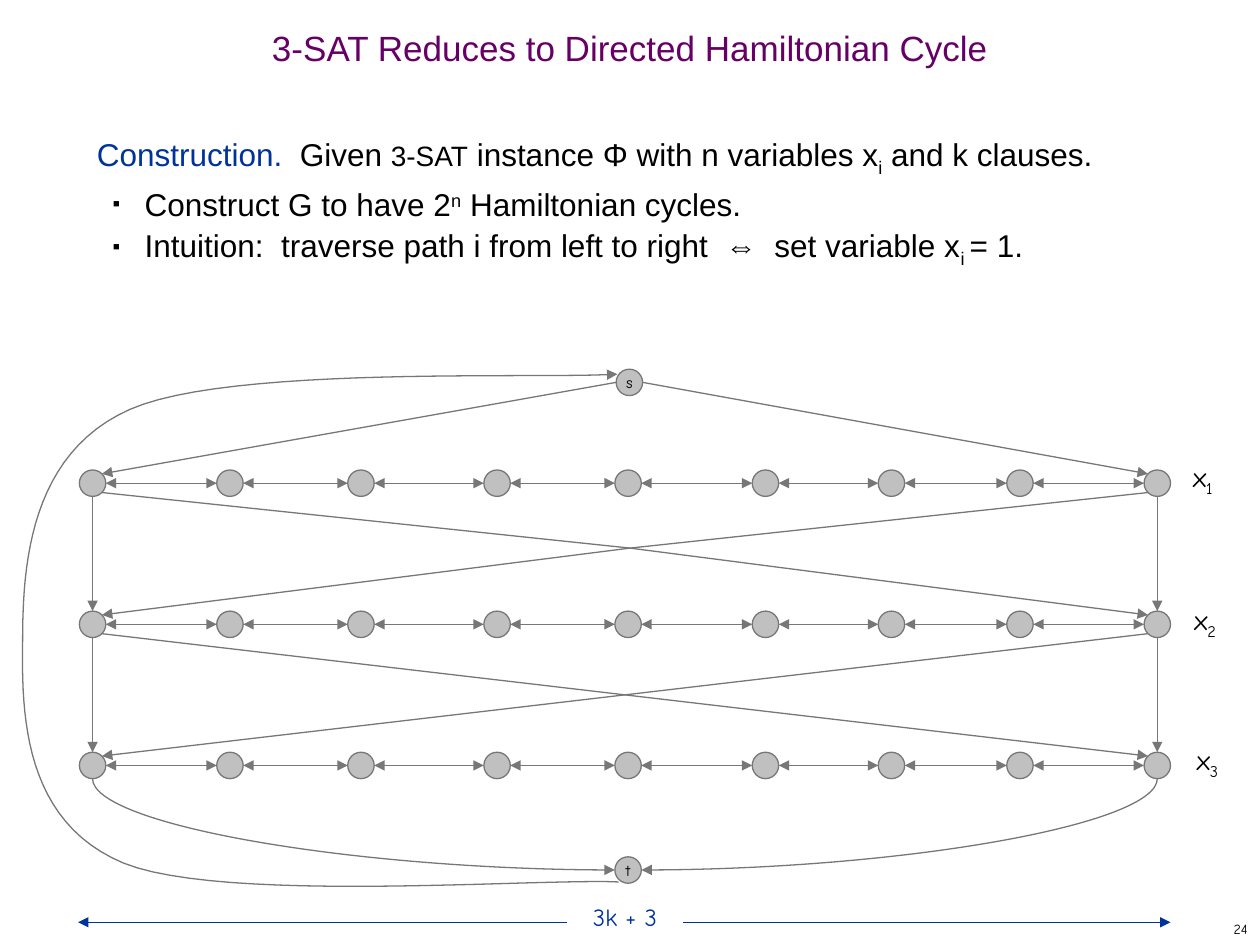
import math
from dataclasses import dataclass
from typing import Any, NamedTuple

import pptx
import pptx.dml.color
import pptx.enum.shapes
import pptx.enum.text
import pptx.oxml.ns
import pptx.util
from lxml import etree

CELL = 0.1
COLS, ROWS = 100, 75
SIZE = 2.1
GREY, EDGE, BLUE, BLACK = "C0C0C0", "777777", "003399", "000000"
HAND = "Comic Neue"
TOP, LEFT, BASE, RIGHT = 0, 2, 4, 6
TOP_L, BASE_L, BASE_R, TOP_R = 1, 3, 5, 7
LINE = pptx.enum.shapes.MSO_CONNECTOR.STRAIGHT
CURVE = pptx.enum.shapes.MSO_CONNECTOR.CURVE
ALIGN = pptx.enum.text.PP_ALIGN
MIDDLE = pptx.enum.text.MSO_ANCHOR.MIDDLE
FIT = pptx.enum.text.MSO_AUTO_SIZE.SHAPE_TO_FIT_TEXT
qn = pptx.oxml.ns.qn


class End(NamedTuple):
    x: float
    y: float
    shape: Any = None
    site: int = 0


@dataclass
class Node:
    x: float
    y: float
    shape: Any

    def end(self, site: int) -> End:
        turn, half = math.radians(45 * site), SIZE / 2
        return End(self.x + half - half * math.sin(turn),
                   self.y + half - half * math.cos(turn), self.shape, site)


@dataclass
class Run:
    text: str
    size: float = 18
    color: str = BLACK
    font: str = "Arial"
    shift: int = 0


def grid(cells: float) -> int:
    return pptx.util.Inches(cells * CELL)


def paint(form: Any, color: str) -> None:
    form.solid()
    form.fore_color.rgb = pptx.dml.color.RGBColor.from_string(color)


def fill_text(para: Any, runs: list[Run]) -> None:
    for item in runs:
        run = para.add_run()
        run.text = item.text
        run.font.size = pptx.util.Pt(item.size)
        run.font.name = item.font
        paint(run.font.fill, item.color)
        if item.shift:
            run._r.get_or_add_rPr().set("baseline", str(item.shift * 1000))


def add_text(slide: Any, box: tuple, runs: list[Run], align: Any = ALIGN.LEFT) -> Any:
    frame = slide.shapes.add_textbox(*map(grid, box)).text_frame
    frame.word_wrap = True
    frame.paragraphs[0].alignment = align
    fill_text(frame.paragraphs[0], runs)
    return frame


def add_node(slide: Any, x: float, y: float, name: str = "") -> Node:
    kind = pptx.enum.shapes.MSO_SHAPE.OVAL
    shape = slide.shapes.add_shape(kind, *map(grid, (x, y, SIZE, SIZE)))
    shape.shadow.inherit = False
    paint(shape.fill, GREY)
    paint(shape.line.fill, EDGE)
    shape.line.width = pptx.util.Pt(0.75)
    if name:
        frame = shape.text_frame
        frame.word_wrap = False
        frame.vertical_anchor = MIDDLE
        frame.paragraphs[0].alignment = ALIGN.CENTER
        fill_text(frame.paragraphs[0], [Run(name, 9, font=HAND)])
    return Node(x, y, shape)


def style(shape: Any, tips: str, color: str = EDGE) -> None:
    paint(shape.line.fill, color)
    shape.line.width = pptx.util.Pt(0.75)
    stroke = shape._element.spPr.find(qn("a:ln"))
    for tip in tips.split():
        etree.SubElement(stroke, qn(f"a:{tip}End"), type="triangle")


def link(slide: Any, start: End, stop: End, tips: str = "tail",
         color: str = EDGE, kind: Any = LINE) -> None:
    wire = slide.shapes.add_connector(
        kind, *map(grid, (start.x, start.y, stop.x, stop.y)))
    style(wire, tips, color)
    body = wire._element
    etree.SubElement(body.spPr, qn("a:effectLst"))
    if kind == CURVE:
        body.spPr.find(qn("a:prstGeom")).set("prst", "curvedConnector2")
    for tag, end in (("a:stCxn", start), ("a:endCxn", stop)):
        if end.shape is not None:
            etree.SubElement(body.nvCxnSpPr.cNvCxnSpPr, qn(tag),
                             id=str(end.shape.shape_id), idx=str(end.site))


def add_loop(slide: Any, start: tuple, bends: list[tuple], steps: int = 24) -> None:
    points, last = [], start
    for one, two, stop in bends:
        for step in range(1, steps + 1):
            t = step / steps
            parts = ((1 - t) ** 3, 3 * t * (1 - t) ** 2, 3 * t * t * (1 - t), t ** 3)
            points.append(tuple(
                grid(sum(p * q[axis] for p, q in zip(parts, (last, one, two, stop))))
                for axis in (0, 1)))
        last = stop
    pen = slide.shapes.build_freeform(*map(grid, start))
    pen.add_line_segments(points, close=False)
    shape = pen.convert_to_shape()
    shape.fill.background()
    style(shape, "tail")
    shape.shadow.inherit = False


def add_body(slide: Any) -> None:
    frame = add_text(slide, (6.7, 10, 85.8, 59.2), [
        Run("Construction.  ", color=BLUE), Run("Given "), Run("3-SAT", 16),
        Run(" instance Φ with n variables x"), Run("i", shift=-25),
        Run(" and k clauses.")])
    points = [
        [Run("Construct G to have 2"), Run("n", shift=30), Run(" Hamiltonian cycles.")],
        [Run("Intuition:  traverse path i from left to right  ⇔  set variable x"),
         Run("i ", shift=-25), Run("= 1.")]]
    for runs in points:
        para = frame.add_paragraph()
        fill_text(para, runs)
        props = para._p.get_or_add_pPr()
        props.set("marL", str(grid(3.8)))
        props.set("indent", str(grid(-2.5)))
        tint = etree.SubElement(props, qn("a:buClr"))
        etree.SubElement(tint, qn("a:srgbClr"), val=BLACK)
        etree.SubElement(props, qn("a:buSzPct"), val="35000")
        etree.SubElement(props, qn("a:buFont"), typeface="Arial")
        etree.SubElement(props, qn("a:buChar"), char="■")
    for para in frame.paragraphs:
        para.line_spacing = pptx.util.Pt(26)


def add_graph(slide: Any) -> None:
    lefts = (6.3, 17.2, 27.6, 38.4, 48.8, 59.7, 69.7, 79.9, 90.8)
    tops = [37.3 + 11.2 * row for row in range(3)]
    paths = [[add_node(slide, x, y) for x in lefts] for y in tops]
    first = add_node(slide, 48.9, 29.3, "s")
    last = add_node(slide, 48.8, 68, "t")

    for path in paths:
        for a, b in zip(path, path[1:]):
            link(slide, a.end(RIGHT), b.end(LEFT), "head tail")
    for above, below in zip(paths, paths[1:]):
        for side in (0, -1):
            link(slide, above[side].end(BASE), below[side].end(TOP))

    one, two, three = [(path[0], path[-1]) for path in paths]
    link(slide, first.end(LEFT), one[0].end(TOP_R))
    link(slide, first.end(RIGHT), one[1].end(TOP_L))
    hub = End(50, 43.5)
    for side, (down, up) in enumerate(((BASE_R, TOP_R), (BASE_L, TOP_L))):
        link(slide, one[side].end(down), hub, "")
        link(slide, hub, two[side].end(up))
    link(slide, two[0].end(BASE_R), three[1].end(TOP_L))
    link(slide, two[1].end(BASE_L), three[0].end(TOP_R))
    for side, site in enumerate((LEFT, RIGHT)):
        link(slide, last.end(site), three[side].end(BASE), "head", kind=CURVE)
    add_loop(slide, (49.1, 70), [
        ((42.6, 69.7), (17.7, 71.7), (9.8, 68.5)),
        ((1.9, 65.2), (1.7, 56.8), (1.8, 50.8)),
        ((1.8, 44.8), (2.4, 36), (10.3, 32.5)),
        ((18.2, 29), (42.6, 30.1), (49, 29.7))])

    for count, (x, y) in enumerate(((93.7, 36), (93.8, 47.3), (94, 58.4)), 1):
        frame = add_text(slide, (x, y, 4.2, 4.1), [
            Run("x", 16, font=HAND), Run(str(count), 16, font=HAND, shift=-25)])
        frame.word_wrap = False
        frame.auto_size = FIT


def add_span(slide: Any) -> None:
    link(slide, End(6.2, 73.2), End(92.9, 73.2), "head tail", BLUE)
    kind = pptx.enum.shapes.MSO_SHAPE.RECTANGLE
    tag = slide.shapes.add_shape(kind, *map(grid, (45, 71.6, 9.2, 2.7)))
    tag.shadow.inherit = False
    paint(tag.fill, "FFFFFF")
    tag.line.fill.background()
    frame = tag.text_frame
    frame.margin_top = frame.margin_bottom = 0
    frame.vertical_anchor = pptx.enum.text.MSO_ANCHOR.TOP
    frame.paragraphs[0].alignment = ALIGN.CENTER
    fill_text(frame.paragraphs[0], [Run("3k + 3", 14, BLUE, HAND)])


def main() -> None:
    deck = pptx.Presentation()
    deck.slide_width, deck.slide_height = grid(COLS), grid(ROWS)
    slide = deck.slides.add_slide(deck.slide_layouts[6])
    title = add_text(slide, (0, 1.7, COLS, 5), [
        Run("3-SAT Reduces to Directed Hamiltonian Cycle", 20, "660066")], ALIGN.CENTER)
    title.vertical_anchor = MIDDLE
    title.paragraphs[0].line_spacing = 0.7
    add_body(slide)
    add_graph(slide)
    add_span(slide)
    page = add_text(slide, (79.2, 72.5, 20.8, 2.5), [Run("24", 8, font=HAND)], ALIGN.RIGHT)
    page.vertical_anchor = MIDDLE
    deck.save("out.pptx")


if __name__ == "__main__":
    main()
